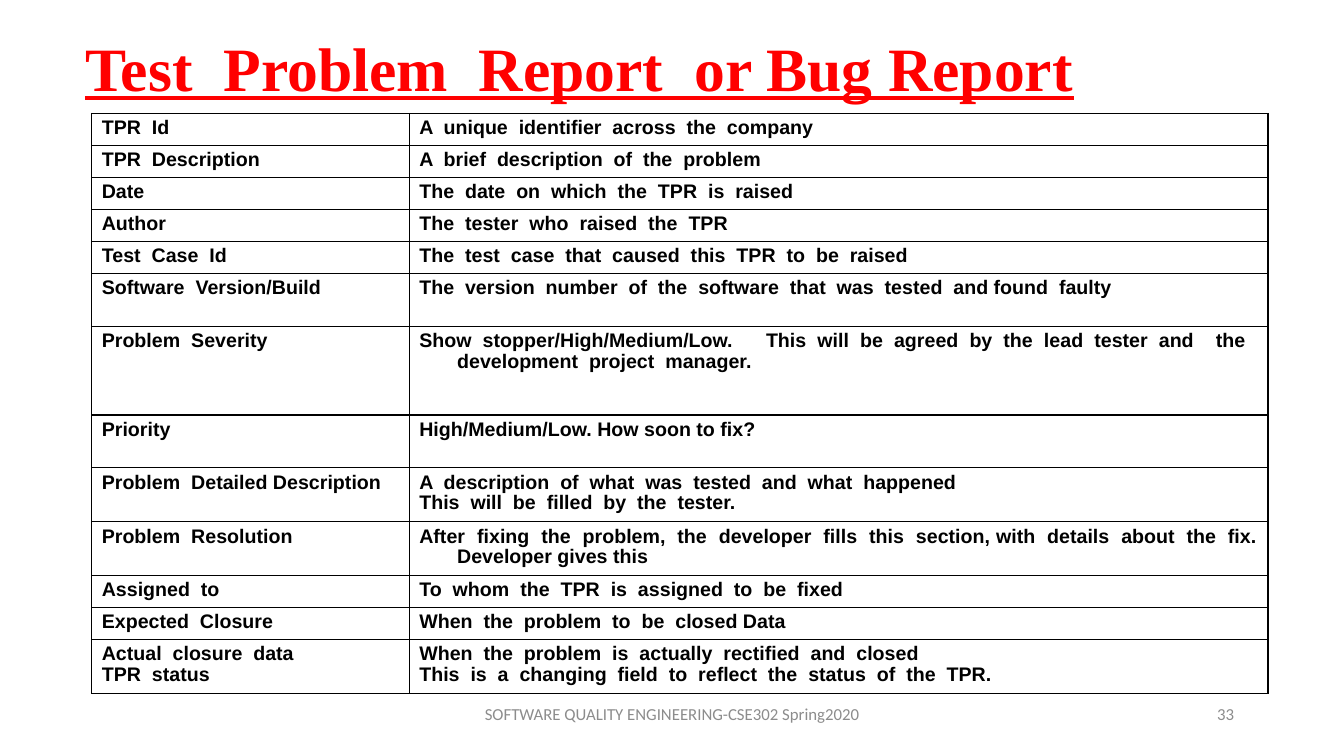
from lxml.etree import SubElement
from pptx import Presentation
from pptx.dml.color import RGBColor
from pptx.enum.text import MSO_ANCHOR as Anchor, PP_ALIGN as Align
from pptx.oxml.ns import qn
from pptx.util import Pt

# Content
TITLE = "Test  Problem  Report  or Bug Report"
FOOTER = "SOFTWARE QUALITY ENGINEERING-CSE302 Spring2020"
PAGE = "33"
SHORT, MEDIUM, TALL = 22.9, 37.8, 63.2  # row heights
FIELDS = [  # row height, field, meaning
    (SHORT, "TPR  Id", "A  unique  identifier  across  the  company"),
    (SHORT, "TPR  Description", "A  brief  description  of  the  problem"),
    (SHORT, "Date", "The  date  on  which  the  TPR  is  raised"),
    (SHORT, "Author", "The  tester  who  raised  the  TPR"),
    (SHORT, "Test  Case  Id", "The  test  case  that  caused  this  TPR  to  be  raised"),
    (MEDIUM, "Software  Version/Build",
     "The  version  number  of  the  software  that  was  tested  and found  faulty"),
    (TALL, "Problem  Severity",
     "Show stopper/High/Medium/Low.   This will be agreed by the lead tester and  the  "
     "development  project  manager."),
    (MEDIUM, "Priority", "High/Medium/Low. How soon to fix?"),
    (MEDIUM, "Problem  Detailed Description",
     "A  description  of  what  was  tested  and  what  happened\n"
     "This  will  be  filled  by  the  tester."),
    (MEDIUM, "Problem  Resolution",
     "After  fixing  the  problem,  the  developer  fills  this  section, with  details  "
     "about  the  fix. Developer gives this"),
    (SHORT, "Assigned  to", "To  whom  the  TPR  is  assigned  to  be  fixed"),
    (SHORT, "Expected  Closure", "When  the  problem  to  be  closed Data"),
    (MEDIUM, "Actual  closure  data\nTPR  status",
     "When  the  problem  is  actually  rectified  and  closed\n"
     "This  is  a  changing  field  to  reflect  the  status  of  the  TPR."),
]

# Formats
RED = RGBColor(0xFF, 0, 0)
BLACK = RGBColor(0, 0, 0)
GRAY = RGBColor(0x8C, 0x8C, 0x8C)
TITLE_FONT = {"name": "Times New Roman", "size": Pt(44), "bold": True, "underline": True}
CELL_FONT = {"name": "Arial", "size": Pt(14), "bold": True}
FOOTER_FONT = {"name": "Calibri", "size": Pt(12)}
COLUMN_WIDTHS = (226.8, 613.4)
HANGING = Pt(27)


def write(frame, text, font, color, align, spacing=1.0, hanging=0):
    frame.text = text
    for line in frame.paragraphs:
        line.alignment, line.line_spacing = align, spacing
        if hanging:
            properties = line._p.get_or_add_pPr()
            properties.set("marL", str(hanging))
            properties.set("indent", str(-hanging))
        for run in line.runs:
            for key, value in font.items():
                setattr(run.font, key, value)
            run.font.color.rgb = color


def add_label(box, *text_format):
    frame = slide.shapes.add_textbox(*map(Pt, box)).text_frame
    frame.word_wrap = True
    frame.vertical_anchor = Anchor.MIDDLE
    write(frame, *text_format)


def add_borders(cell):
    properties = cell._tc.get_or_add_tcPr()
    for side in ("lnL", "lnR", "lnT", "lnB"):
        line = SubElement(properties, qn(f"a:{side}"), w=str(Pt(1)))
        fill = SubElement(line, qn("a:solidFill"))
        SubElement(fill, qn("a:srgbClr"), val=str(BLACK))


deck = Presentation()
deck.slide_width, deck.slide_height = Pt(960), Pt(540)
slide = deck.slides.add_slide(deck.slide_layouts[6])

# Title
add_label((54, 18.7, 761, 64.8), TITLE, TITLE_FONT, RED, Align.LEFT, 0.9)

# Report fields
total_height = sum(height for height, *_ in FIELDS)
report = slide.shapes.add_table(
    len(FIELDS), len(COLUMN_WIDTHS), Pt(65.5), Pt(81),
    Pt(sum(COLUMN_WIDTHS)), Pt(total_height)).table
report.first_row = report.horz_banding = False
for column, width in zip(report.columns, COLUMN_WIDTHS):
    column.width = Pt(width)
for row, (height, *texts) in zip(report.rows, FIELDS):
    row.height = Pt(height)
    for cell, text in zip(row.cells, texts):
        write(cell.text_frame, text, CELL_FONT, BLACK, Align.JUSTIFY, 0.93, HANGING)
        add_borders(cell)
        cell.fill.background()

# Footer and page number
add_label((328.3, 491.8, 303.8, 36), FOOTER, FOOTER_FONT, GRAY, Align.CENTER)
add_label((688.3, 491.8, 200.2, 36), PAGE, FOOTER_FONT, GRAY, Align.RIGHT)

deck.save("out.pptx")
